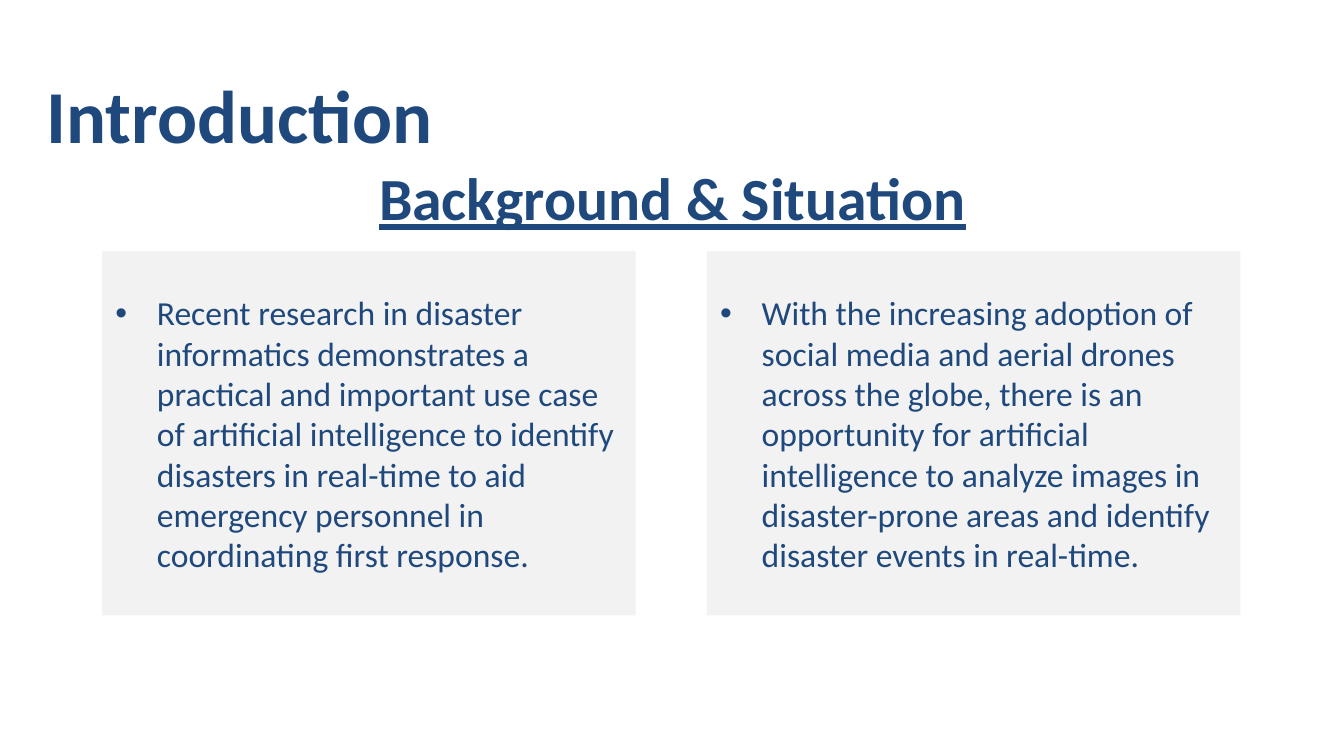
"""Build the introduction slide with its heading and two text panels."""
from pptx import Presentation
from pptx.dml.color import RGBColor
from pptx.enum.shapes import MSO_SHAPE
from pptx.enum.text import MSO_ANCHOR, MSO_AUTO_SIZE, PP_ALIGN
from pptx.util import Inches, Pt
from lxml.etree import SubElement
from pptx.oxml.ns import qn

COLORS = {"navy": "1F497D", "panel": "F2F2F2"}
BASE = {"name": "Calibri", "size": Pt(18)}
TITLE = {"name": "Calibri", "size": Pt(40), "bold": True}
HEAD = {"name": "Calibri", "size": Pt(32), "bold": True, "underline": True}


def write(shape, text, style, align, anchor, bullet=False):
    frame = shape.text_frame
    frame.word_wrap = True
    frame.vertical_anchor = anchor
    para = frame.paragraphs[0]
    para.alignment = align
    if bullet:
        props = para._p.get_or_add_pPr()
        props.set("marL", str(Inches(0.31)))
        props.set("indent", str(Inches(-0.31)))
        SubElement(props, qn("a:buFont"), typeface="Arial")
        SubElement(props, qn("a:buChar"), char="•")
    run = para.add_run()
    run.text = text
    for key, value in style.items():
        setattr(run.font, key, value)
    run.font.color.rgb = RGBColor.from_string(COLORS["navy"])


deck = Presentation()
deck.slide_width, deck.slide_height = Inches(10), Inches(10 * 9 / 16)
slide = deck.slides.add_slide(deck.slide_layouts[6])
shapes = slide.shapes

title = shapes.add_textbox(Inches(0.25), Inches(0.38), Inches(9), Inches(0.93))
write(title, "Introduction", TITLE, PP_ALIGN.LEFT, MSO_ANCHOR.MIDDLE)

points = [
    "Recent research in disaster informatics demonstrates a practical and "
    "important use case of artificial intelligence to identify disasters in "
    "real-time to aid emergency personnel in coordinating first response.",
    "With the increasing adoption of social media and aerial drones across "
    "the globe, there is an opportunity for artificial intelligence to analyze "
    "images in disaster-prone areas and identify disaster events in real-time.",
]
for col, point in enumerate(points):
    panel = shapes.add_shape(
        MSO_SHAPE.RECTANGLE, Inches(0.76 + 4.5 * col), Inches(1.87),
        Inches(3.97), Inches(2.71))
    panel.shadow.inherit = False
    panel.fill.solid()
    panel.fill.fore_color.rgb = RGBColor.from_string(COLORS["panel"])
    panel.line.fill.background()
    write(panel, point, BASE, PP_ALIGN.LEFT, MSO_ANCHOR.MIDDLE, bullet=True)

head = shapes.add_textbox(Inches(1.61), Inches(1.15), Inches(6.79), Inches(0.66))
write(head, "Background & Situation", HEAD, PP_ALIGN.CENTER, MSO_ANCHOR.TOP)
head.text_frame.auto_size = MSO_AUTO_SIZE.SHAPE_TO_FIT_TEXT

deck.save("out.pptx")
